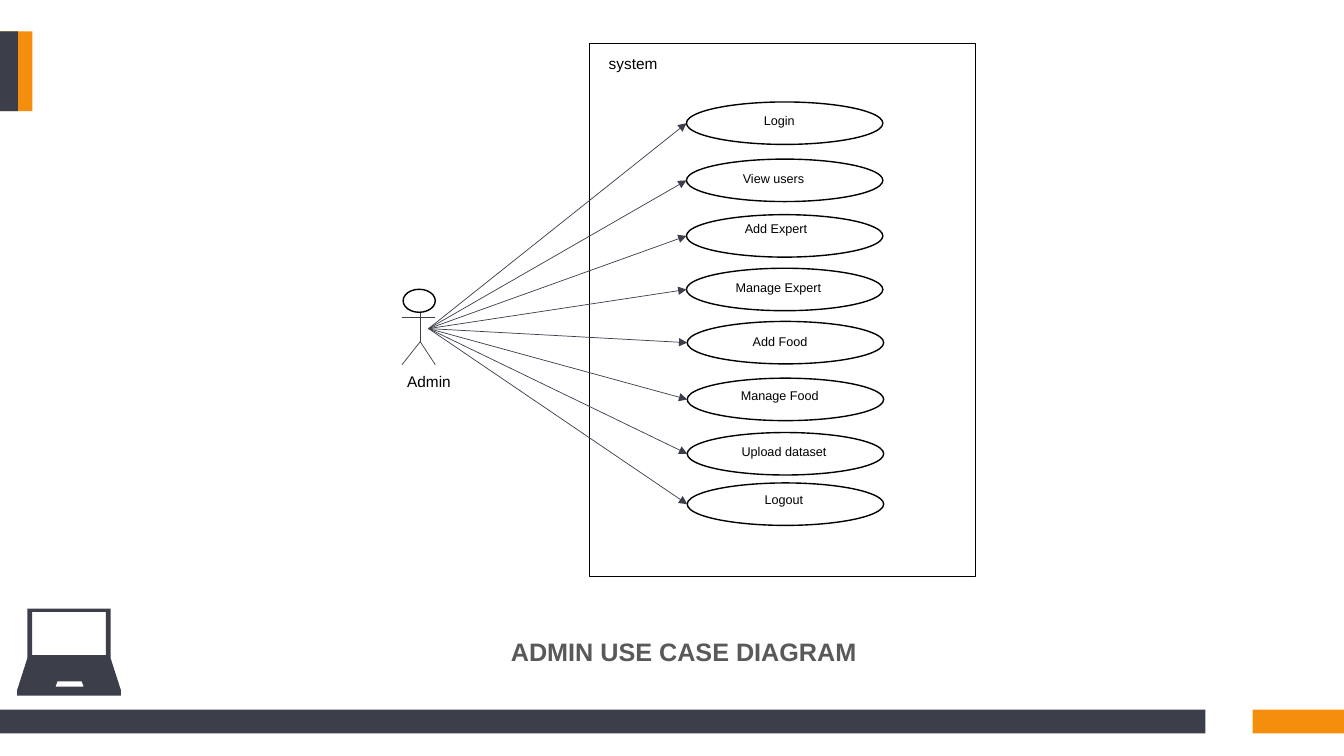
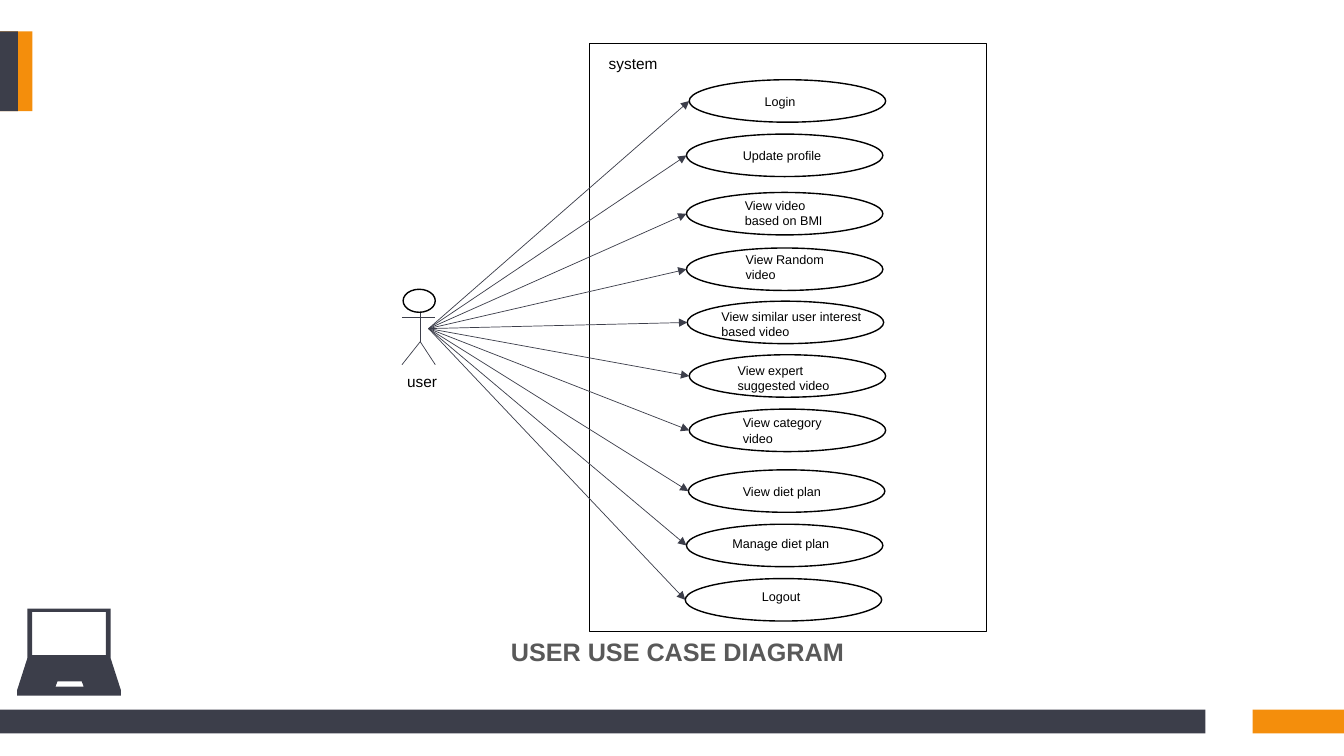
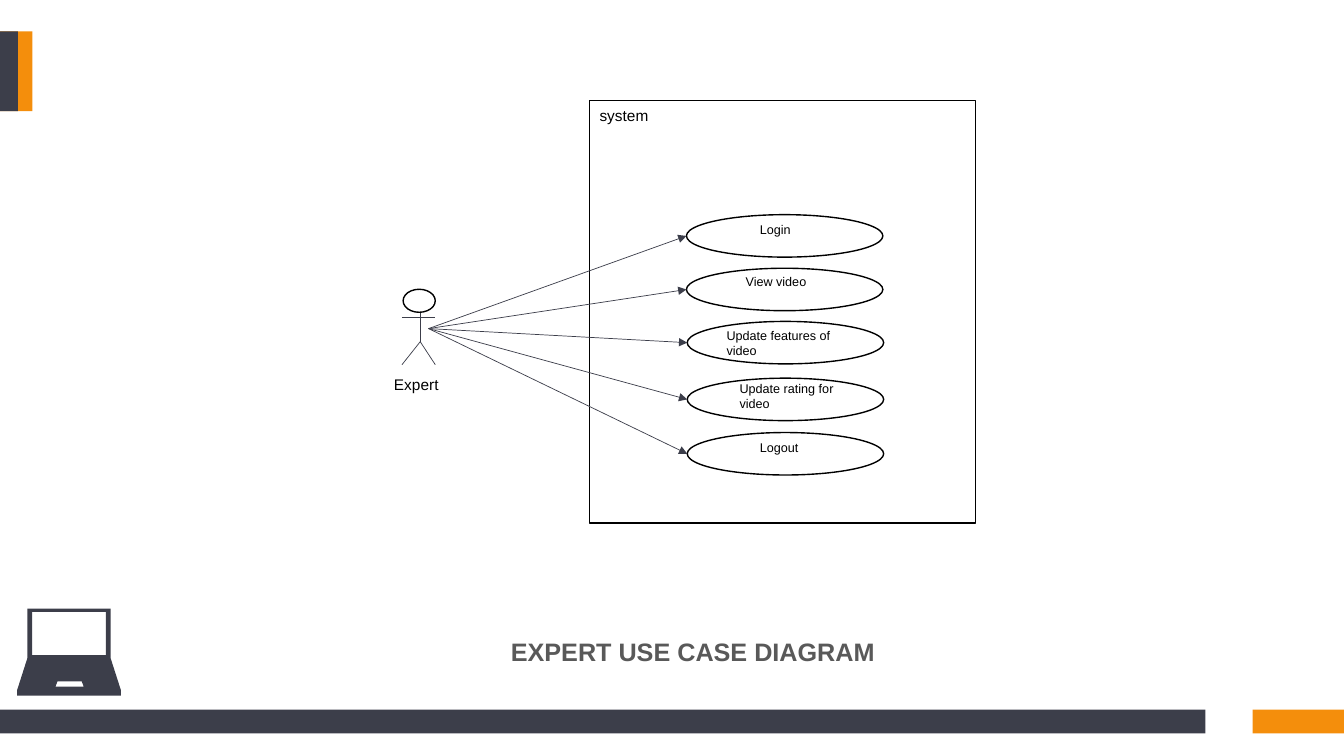
import pptx
import pptx.util
import pptx.dml.color
import pptx.enum.shapes
import pptx.enum.text
import pptx.oxml.ns
import lxml.etree

Cm = pptx.util.Cm
Pt = pptx.util.Pt
RGB = pptx.dml.color.RGBColor
Kind = pptx.enum.shapes.MSO_SHAPE
qn = pptx.oxml.ns.qn

DARK = RGB(0x3C, 0x3E, 0x4A)
ORANGE = RGB(0xF4, 0x8E, 0x0C)
GREY = RGB(0x59, 0x59, 0x59)
BLACK = RGB(0, 0, 0)
WHITE = RGB(255, 255, 255)
FONT = "Arial"

# Content, in cm. Frame: top, width, height. Name and system: left, top, width.
# Case: text, lines, oval left and top, label left, top and width.
SLIDES = [
    {
        "title": "ADMIN USE CASE DIAGRAM",
        "frame": (1.09, 9.73, 13.44),
        "actor": ("Admin", 10.01, 9.25, 1.78),
        "system": (15.09, 1.24, 2.84),
        "cases": [
            ("Login", 1, 17.3, 2.57, 19, 2.72, 1.55),
            ("View users", 1, 17.3, 4.01, 18.47, 4.19, 2.82),
            ("Add Expert", 1, 17.3, 5.41, 18.52, 5.44, 2.95),
            ("Manage Expert", 1, 17.3, 6.76, 18.29, 6.93, 2.95),
            ("Add Food", 1, 17.32, 8.1, 18.72, 8.28, 2.08),
            ("Manage Food", 1, 17.32, 9.53, 18.42, 9.65, 3.15),
            ("Upload dataset", 1, 17.32, 10.9, 18.44, 11.07, 2.74),
            ("Logout", 1, 17.32, 12.17, 19.02, 12.27, 1.52),
        ],
    },
    {
        "title": "USER USE CASE DIAGRAM",
        "frame": (1.09, 10.01, 14.83),
        "actor": ("user", 10.01, 9.25, 1.37),
        "system": (15.09, 1.24, 2.84),
        "cases": [
            ("Login", 1, 17.37, 2.01, 19.02, 2.24, 1.55),
            ("Update profile", 1, 17.3, 3.38, 18.47, 3.61, 2.82),
            ("View video based on BMI", 2, 17.3, 4.85, 18.52, 4.85, 2.95),
            ("View Random video", 2, 17.3, 6.25, 18.54, 6.22, 2.95),
            ("View similar user interest based video", 2,
             17.32, 7.59, 17.93, 7.65, 4.24),
            ("View expert suggested video", 2, 17.37, 8.94, 18.34, 9.02, 3.38),
            ("View category video", 2, 17.37, 10.31, 18.47, 10.34, 3.15),
            ("View diet plan", 1, 17.35, 11.84, 18.47, 12.07, 2.54),
            ("Manage diet plan", 1, 17.3, 13.21, 18.21, 13.39, 3.3),
            ("Logout", 1, 17.27, 14.58, 18.95, 14.71, 1.85),
        ],
    },
    {
        "title": "EXPERT USE CASE DIAGRAM",
        "frame": (2.54, 9.73, 10.64),
        "actor": ("Expert", 9.68, 9.32, 1.78),
        "system": (14.86, 2.54, 2.84),
        "cases": [
            ("Login", 1, 17.3, 5.41, 18.9, 5.46, 1.75),
            ("View video", 1, 17.3, 6.76, 18.54, 6.78, 2.95),
            ("Update features of video", 2, 17.32, 8.1, 18.06, 8.13, 3.91),
            ("Update rating for video", 2, 17.32, 9.53, 18.39, 9.47, 3.15),
            ("Logout", 1, 17.32, 10.9, 18.9, 10.97, 1.5),
        ],
    },
]

# Shared parts, in cm
WIDE, HIGH = 33.87, 19.05
TITLE = (12.62, 15.9, 10.87, 1.02)
BANDS = [
    (ORANGE, (0, 0.79, 0.82, 2.01)),
    (DARK, (0, 0.79, 0.45, 2.01)),
    (ORANGE, (31.57, 17.88, 2.3, 0.6)),
    (DARK, (0, 17.88, 30.38, 0.6)),
]
LAPTOP = [
    [(1.45, 17.17), (1.4, 17.3), (2.11, 17.3), (2.06, 17.17)],
    [(0.81, 15.42), (0.81, 16.51), (2.67, 16.51), (2.67, 15.42)],
    [(0.69, 15.34), (2.79, 15.34), (2.79, 16.59), (3.05, 17.4),
     (3.05, 17.53), (0.43, 17.53), (0.43, 17.4), (0.69, 16.59)],
]
HEAD = (10.16, 7.29, 0.81, 0.58)
LIMBS = [
    ((10.59, 7.8), (10.59, 8.61)),
    ((10.13, 8), (10.97, 8)),
    ((10.59, 8.61), (10.13, 9.19)),
    ((10.59, 8.61), (10.97, 9.19)),
]
HUB = (10.8, 8.28)
LEFT = 14.86
OVAL = (4.95, 1.07)


def paint(shape, fill, edge=None):
    shape.shadow.inherit = False
    shape.fill.solid()
    shape.fill.fore_color.rgb = fill
    if edge is None:
        shape.line.fill.background()
    else:
        shape.line.color.rgb = edge
        shape.line.width = Pt(1)


def draw(slide, kind, box, fill, edge=None):
    shape = slide.shapes.add_shape(kind, *map(Cm, box))
    paint(shape, fill, edge)
    return shape


def link(slide, start, end, arrow=False):
    line = slide.shapes.add_connector(
        pptx.enum.shapes.MSO_CONNECTOR.STRAIGHT, *map(Cm, start + end))
    line.line.color.rgb = DARK
    line.line.width = Pt(0.5)
    props = line.element.spPr
    if arrow:
        lxml.etree.SubElement(
            props.find(qn("a:ln")), qn("a:tailEnd"), type="triangle")
    lxml.etree.SubElement(props, qn("a:effectLst"))


def write(frame, text, size, color, bold=False):
    frame.word_wrap = True
    frame.vertical_anchor = pptx.enum.text.MSO_ANCHOR.TOP
    para = frame.paragraphs[0]
    para.alignment = pptx.enum.text.PP_ALIGN.LEFT
    run = para.add_run()
    run.text = text
    run.font.name = FONT
    run.font.size = Pt(size)
    run.font.bold = bold
    run.font.color.rgb = color


def label(slide, text, size, box):
    write(slide.shapes.add_textbox(*map(Cm, box)).text_frame,
          text, size, BLACK)


def add_bands(slide, layout):
    # Bands are drawn once, then moved to the layout
    for color, box in BANDS:
        band = draw(slide, Kind.RECTANGLE, box, color)
        layout.shapes.element.append(band.element)


def add_laptop(slide):
    pen = None
    for ring in LAPTOP:
        first, *rest = [(Cm(x), Cm(y)) for x, y in ring]
        if pen is None:
            pen = slide.shapes.build_freeform(*first)
        else:
            pen.move_to(*first)
        pen.add_line_segments(rest, close=True)
    paint(pen.convert_to_shape(), DARK)


def add_actor(slide, name, left, top, width):
    for start, end in LIMBS:
        link(slide, start, end)
    draw(slide, Kind.FLOWCHART_CONNECTOR, HEAD, WHITE, BLACK)
    label(slide, name, 11, (left, top, width, 0.74))


def add_cases(slide, cases):
    for text, lines, x, y, left, top, width in cases:
        draw(slide, Kind.OVAL, (x, y) + OVAL, WHITE, BLACK)
        link(slide, HUB, (x, y + OVAL[1] / 2), arrow=True)
        label(slide, text, 9, (left, top, width, 0.26 + 0.38 * lines))


def main():
    deck = pptx.Presentation()
    deck.slide_width, deck.slide_height = Cm(WIDE), Cm(HIGH)
    layout = deck.slide_layouts.get_by_name("Title Only")
    head = layout.placeholders[0]
    head.left, head.top, head.width, head.height = map(Cm, TITLE)

    for page, data in enumerate(SLIDES):
        slide = deck.slides.add_slide(layout)
        if page == 0:
            add_bands(slide, layout)
        frame = slide.shapes.title.text_frame
        frame.auto_size = pptx.enum.text.MSO_AUTO_SIZE.NONE
        write(frame, data["title"], 18, GREY, bold=True)
        add_laptop(slide)
        add_actor(slide, *data["actor"])
        draw(slide, Kind.RECTANGLE, (LEFT,) + data["frame"], WHITE, BLACK)
        label(slide, "system", 11, data["system"] + (0.74,))
        add_cases(slide, data["cases"])

    deck.save("out.pptx")


if __name__ == "__main__":
    main()
